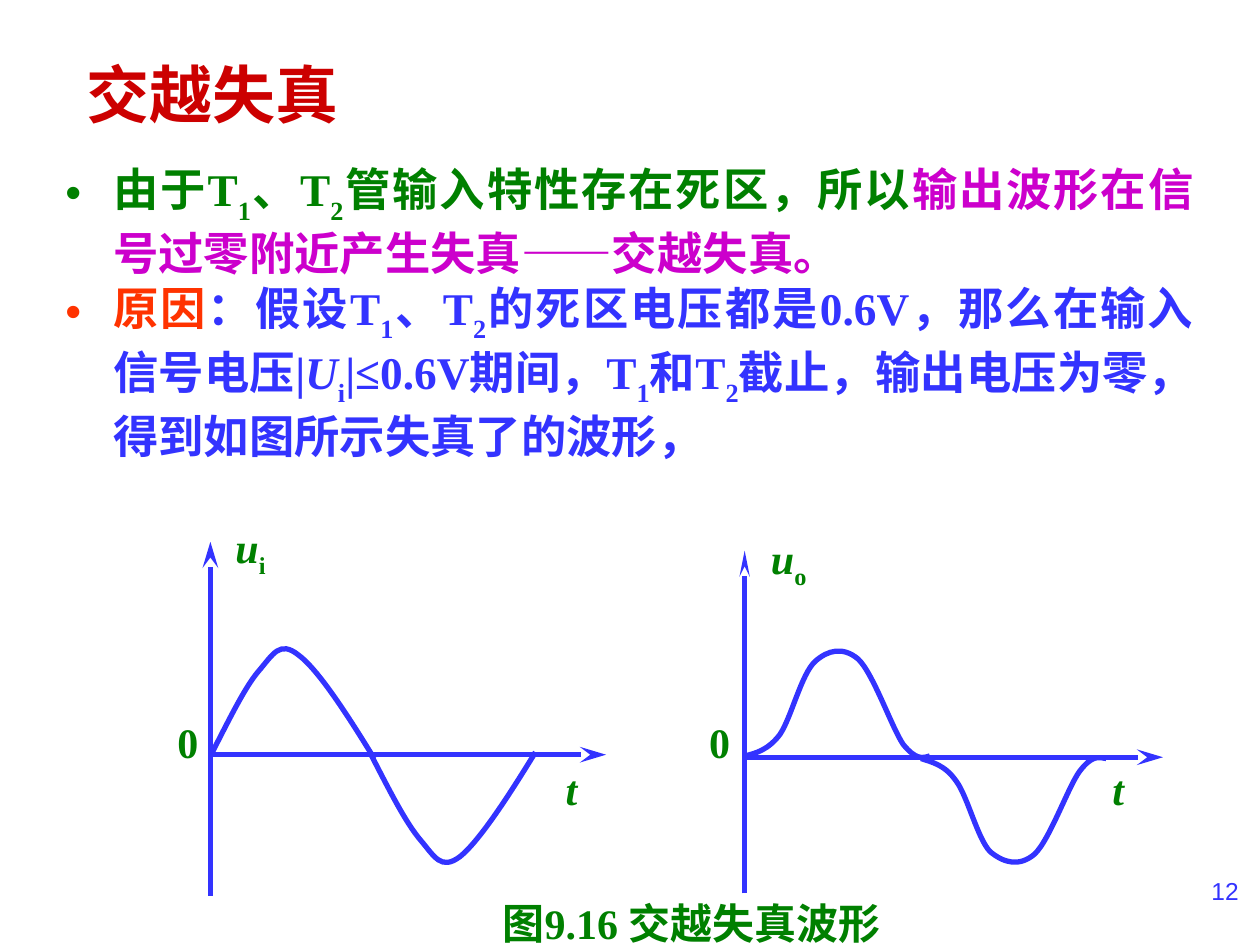
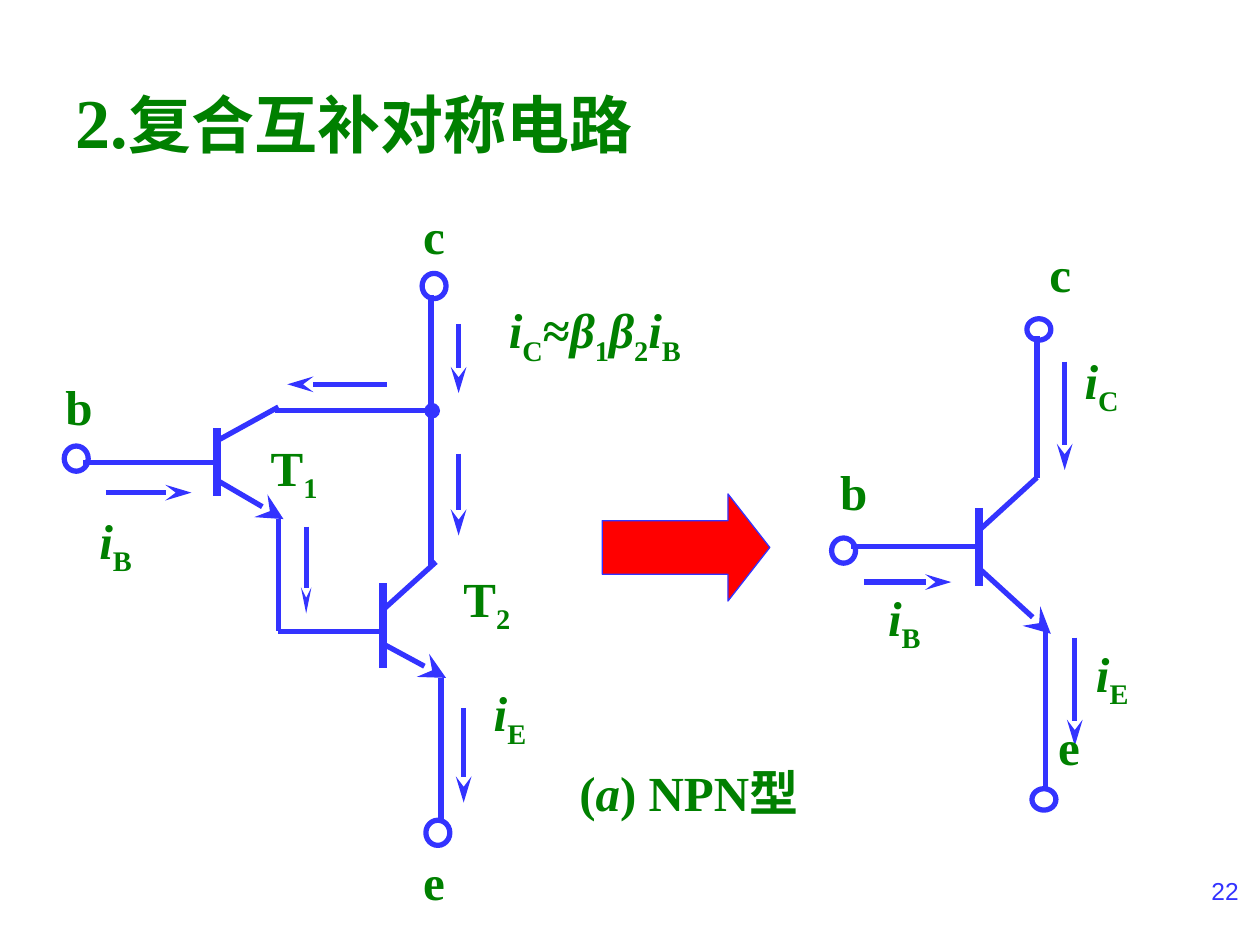
"""Build two slides on crossover distortion and compound transistor pairs."""
import pptx
import pptx.util
import pptx.dml.color
import pptx.enum.shapes
import pptx.enum.text
import pptx.oxml
import pptx.oxml.ns
from lxml import etree

UNIT = 9144
INK = {
    "blue": "3333FF", "green": "008000", "red": "CC0000", "pink": "CC00CC",
    "flame": "FF3300", "arrow": "FF0000", "white": "FFFFFF",
}
SERIF = "Times New Roman"
SHAPE = pptx.enum.shapes.MSO_SHAPE
ALIGN = pptx.enum.text.PP_ALIGN


def px(*nums):
    """Turn px into EMU."""
    return [pptx.util.Emu(n * UNIT) for n in nums]


def ink(name):
    """Look up a colour."""
    return pptx.dml.color.RGBColor.from_string(INK[name])


def tag(parent, name, **attrs):
    """Append a drawing element to its parent."""
    return etree.SubElement(parent, pptx.oxml.ns.qn(name), attrs)


def write(para, bits, size, tint="green", font=SERIF, bold=True, drop=-25):
    """Add runs given as (text, marks, tint); mark i is italic, _ is subscript."""
    for bit in bits:
        text, marks, hue = (tuple(bit) + ("", tint)[len(bit) - 1:])
        run = para.add_run()
        run.text = text
        run.font.size = pptx.util.Pt(size)
        run.font.name = font
        run.font.bold = bold
        run.font.italic = "i" in marks
        run.font.color.rgb = ink(hue)
        if "_" in marks:
            run.font._element.set("baseline", str(drop * 1000))


def label(slide, box, bits, size, **style):
    """Add a text box of one line."""
    frame = slide.shapes.add_textbox(*px(*box)).text_frame
    frame.word_wrap = True
    write(frame.paragraphs[0], bits, size, **style)
    return frame.paragraphs[0]


def start(deck, box, bits, tint, page):
    """Add a slide with its title and page number."""
    slide = deck.slides.add_slide(deck.slide_layouts[5])
    title = slide.shapes.title
    title.left, title.top, title.width, title.height = px(*box)
    frame = title.text_frame
    frame.auto_size = pptx.enum.text.MSO_AUTO_SIZE.NONE
    frame.vertical_anchor = pptx.enum.text.MSO_ANCHOR.MIDDLE
    para = frame.paragraphs[0]
    para.alignment = ALIGN.LEFT
    for text, size in bits:
        write(para, [(text,)], size, tint)
    mark = label(slide, (760, 690, 233, 52), [(page,)], 14,
                 tint="blue", font="Arial", bold=False)
    mark.alignment = ALIGN.RIGHT
    return slide


def points(slide, box, items):
    """Add a justified bullet list of (tint, runs) items."""
    frame = slide.shapes.add_textbox(*px(*box)).text_frame
    frame.word_wrap = True
    for i, (tint, bits) in enumerate(items):
        para = frame.add_paragraph() if i else frame.paragraphs[0]
        prop = para._p.get_or_add_pPr()
        prop.set("marL", str(38 * UNIT))
        prop.set("indent", str(-38 * UNIT))
        tag(tag(prop, "a:buClr"), "a:srgbClr", val=INK[tint])
        tag(prop, "a:buFont", typeface="Arial")
        tag(prop, "a:buChar", char="•")
        para.alignment = ALIGN.JUSTIFY
        para.line_spacing = 1.0
        write(para, bits, 25.9, drop=-30)


def wire(slide, ends, tip=None, width=3, **size):
    """Draw a line, with an optional end mark."""
    line = slide.shapes.add_connector(
        pptx.enum.shapes.MSO_CONNECTOR.STRAIGHT, *px(*ends))
    line.line.color.rgb = ink("blue")
    line.line.width = pptx.util.Pt(width)
    if tip:
        tag(line.line._get_or_add_ln(), "a:tailEnd", type=tip, **size)
    tag(line._element.spPr, "a:effectLst")


def point(slide, ends, wide="med"):
    """Draw an arrow with a long head."""
    wire(slide, ends, "stealth", w=wide, len="lg")


def dress(shape, fill=None, width=3):
    """Set fill and outline of a shape."""
    shape.shadow.inherit = False
    if fill:
        shape.fill.solid()
        shape.fill.fore_color.rgb = ink(fill)
    else:
        shape.fill.background()
    shape.line.color.rgb = ink("blue")
    shape.line.width = pptx.util.Pt(width)


def wave(slide, knots):
    """Draw a curve through cubic Bezier knots."""
    form = slide.shapes.build_freeform(*knots[0], scale=UNIT)
    form.add_line_segments(knots[1:], close=False)
    shape = form.convert_to_shape()
    track = shape._element.find(".//" + pptx.oxml.ns.qn("a:path"))
    legs = track.findall(pptx.oxml.ns.qn("a:lnTo"))
    for k in range(0, len(legs), 3):
        curve = tag(track, "a:cubicBezTo")
        for leg in legs[k:k + 3]:
            curve.append(leg[0])
            track.remove(leg)
    dress(shape)


def ring(slide, box, fill=None):
    """Draw a terminal."""
    dress(slide.shapes.add_shape(SHAPE.OVAL, *px(*box)), fill)


def cross(deck):
    """Build the slide on crossover distortion."""
    slide = start(deck, (59, 28, 850, 92), [("交越失真", 36)], "red", "12")
    blue = "blue"
    points(slide, (42, 123, 915, 250), [
        ("green", [("由于T",), ("1", "_"), ("、T",), ("2", "_"),
                   ("管输入特性存在死区，所以",),
                   ("输出波形在信号过零附近产生失真——交越失真。", "", "pink")]),
        ("flame", [("原因", "", "flame"), ("：假设T", "", blue), ("1", "_", blue),
                   ("、T", "", blue), ("2", "_", blue),
                   ("的死区电压都是0.6V，那么在输入信号电压|", "", blue),
                   ("U", "i", blue), ("i", "_", blue), ("|≤0.6V期间，T", "", blue),
                   ("1", "_", blue), ("和T", "", blue), ("2", "_", blue),
                   ("截止，输出电压为零，得到如图所示失真了的波形，", "", blue)]),
    ])
    for axis in ((167, 711, 167, 430), (167, 599, 481, 599), (591, 601, 923, 601)):
        point(slide, axis)
    point(slide, (591, 709, 591, 437), "sm")
    for knots in (
        [(167, 600), (181, 573), (194, 546), (205, 533), (217, 519),
         (222, 508), (237, 520), (252, 531), (275, 566), (297, 602)],
        [(295, 600), (309, 627), (322, 653), (334, 667), (345, 680),
         (350, 691), (365, 680), (380, 668), (403, 633), (425, 597)],
        [(591, 600), (600, 598), (610, 595), (619, 583), (628, 570), (636, 535),
         (647, 525), (657, 516), (669, 513), (681, 523), (693, 534), (708, 578),
         (717, 591), (727, 603), (732, 602), (738, 600)],
        [(731, 602), (740, 605), (750, 607), (759, 620), (768, 632), (776, 666),
         (786, 676), (797, 685), (809, 688), (821, 678), (833, 667), (848, 624),
         (857, 612), (867, 599), (872, 601), (878, 602)],
    ):
        wave(slide, knots)
    for x, y, bits in ((177, 409, [("u", "i"), ("i", "_")]),
                       (602, 418, [("u", "i"), ("o", "_")]),
                       (439, 601, [("t", "i")]), (873, 601, [("t", "i")]),
                       (131, 564, [("0",)]), (553, 564, [("0",)])):
        label(slide, (x, y, 71, 75), bits, 24)
    label(slide, (389, 707, 423, 69), [("图9.16 交越失真波形",)], 24)


def pair(deck):
    """Build the slide on the compound NPN pair."""
    slide = start(deck, (50, 33, 850, 125),
                  [("2.", 40), ("复合互补对称电路", 36)], "green", "22")
    for ends in ((66, 367, 172, 367), (172, 350, 221, 323), (221, 412, 221, 501),
                 (221, 501, 304, 501), (304, 484, 346, 446), (342, 449, 342, 234),
                 (350, 538, 350, 665), (777, 421, 823, 379), (777, 434, 675, 434),
                 (823, 379, 823, 267), (830, 499, 830, 626)):
        wire(slide, ends)
    for x, top, foot in ((172, 340, 394), (304, 463, 530), (777, 403, 465)):
        wire(slide, (x, top, x, foot), width=4.5)
    wire(slide, (218, 326, 343, 326), "oval")
    for ends in ((172, 381, 225, 412), (304, 511, 354, 538), (777, 451, 834, 503)):
        point(slide, ends, "lg")
    for ends in ((84, 391, 152, 391), (307, 305, 228, 305),
                 (364, 257, 364, 312), (364, 360, 364, 425), (368, 562, 368, 637),
                 (686, 462, 755, 462), (845, 287, 845, 373), (853, 506, 853, 592)):
        point(slide, ends)
    point(slide, (243, 418, 243, 487), "sm")
    for x, y, tall in ((335, 217, 20), (51, 354, 20), (660, 427, 20),
                       (815, 253, 17), (819, 626, 17)):
        ring(slide, (x, y, 19, tall))
    ring(slide, (338, 651, 19, 20), "white")
    for x, y, name in ((326, 158, "c"), (326, 671, "e"), (42, 294, "b"),
                       (657, 361, "b"), (823, 188, "c"), (830, 564, "e")):
        label(slide, (x, y, 100, 79), [(name,)], 28)
    for x, y, name, sub in ((205, 342, "T", "1"), (358, 446, "T", "2"),
                            (69, 400, "i", "B"), (382, 537, "i", "E"),
                            (695, 461, "i", "B"), (860, 506, "i", "E"),
                            (851, 273, "i", "C")):
        slant = "i" if name == "i" else ""
        label(slide, (x, y, 90, 80), [(name, slant), (sub, "_")], 28)
    label(slide, (394, 233, 248, 89),
          [("i", "i"), ("C", "_"), ("≈",), ("β", "i"), ("1", "_"),
           ("β", "i"), ("2", "_"), ("i", "i"), ("B", "_")], 28)
    arrow = slide.shapes.add_shape(SHAPE.RIGHT_ARROW, *px(478, 392, 133, 85))
    arrow.adjustments[0], arrow.adjustments[1] = 0.5, 0.39
    dress(arrow, "arrow", 0.75)
    label(slide, (450, 600, 250, 67), [("(",), ("a", "i"), (") NPN型",)], 28)


def main():
    """Build and save the deck."""
    deck = pptx.Presentation()
    deck.slide_width, deck.slide_height = px(1000, 750)
    cross(deck)
    pair(deck)
    deck.save("out.pptx")


if __name__ == "__main__":
    main()
